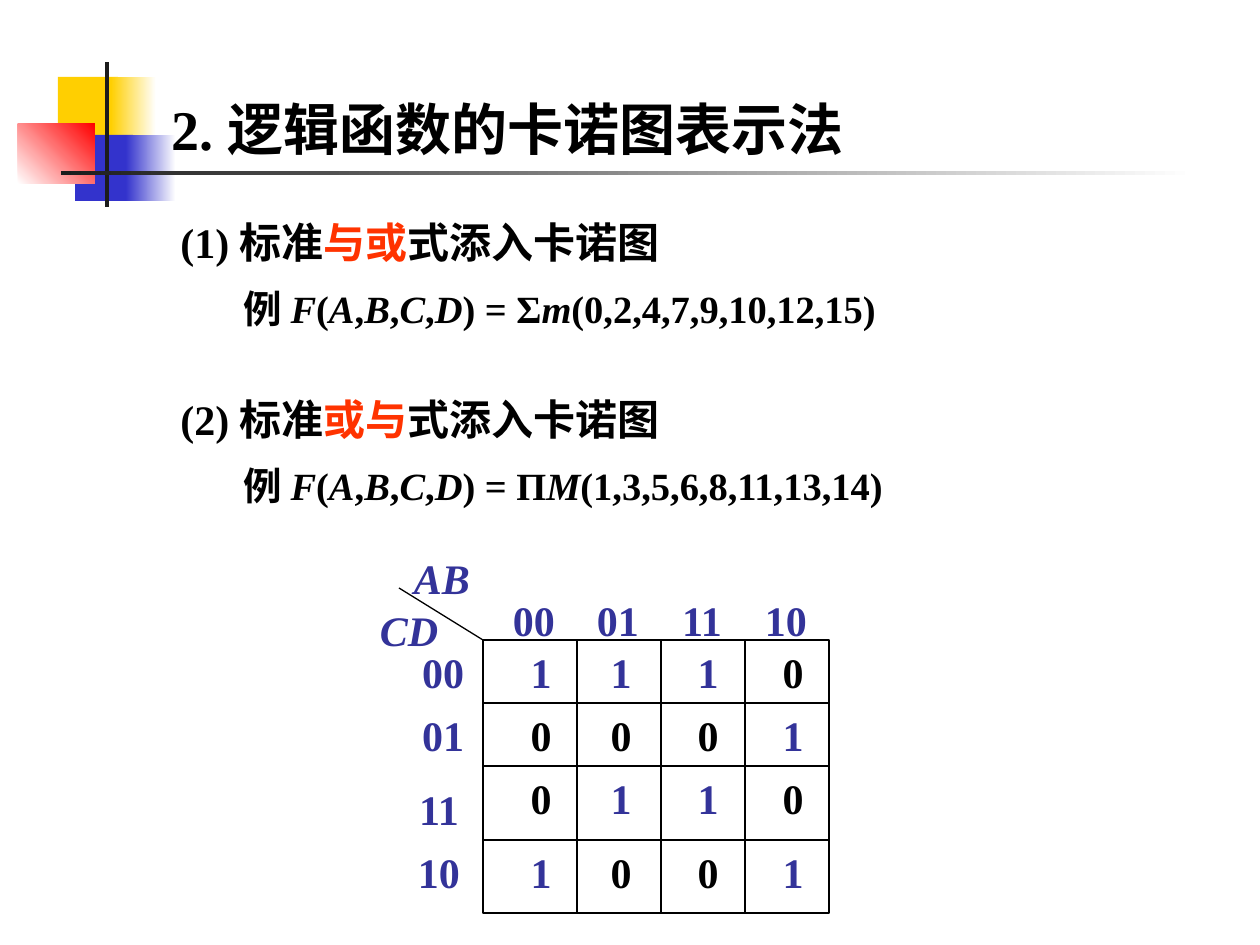
import itertools

import pptx
import pptx.dml.color
import pptx.enum.shapes
import pptx.enum.text
import pptx.oxml
import pptx.oxml.ns
import pptx.util

PX = 914400 / 126
FONT = "Times New Roman"
BLACK, BLUE, RED, INDIGO = "000000", "333399", "FF3300", "3333CC"
YELLOW, CHARCOAL, WHITE, PURE_RED = "FFCF01", "1C1C1C", "FFFFFF", "FF0000"
ALIGN = pptx.enum.text.PP_ALIGN
ANCHOR = pptx.enum.text.MSO_ANCHOR
FRAME = {"word_wrap": True, "vertical_anchor": ANCHOR.TOP}
LABEL_FRAME = {"word_wrap": False, "vertical_anchor": ANCHOR.MIDDLE}


def px(value):
    """Turn px into EMU."""
    return pptx.util.Emu(round(value * PX))


def color(hex_value):
    """Turn a hex string into a colour."""
    return pptx.dml.color.RGBColor.from_string(hex_value)


def set_all(target, values):
    """Set every attribute named in a dict."""
    for name, value in values.items():
        setattr(target, name, value)


def add_rect(slide, box):
    """Add a rectangle with neither shadow, fill nor line."""
    rect = slide.shapes.add_shape(pptx.enum.shapes.MSO_SHAPE.RECTANGLE, *map(px, box))
    rect.shadow.inherit = False
    rect.fill.background()
    rect.line.fill.background()
    return rect


def add_block(slide, box, colors, angle=0):
    """Add a rectangle in one colour, or in a gradient of two."""
    fill = add_rect(slide, box).fill
    if len(colors) == 1:
        fill.solid()
        fill.fore_color.rgb = color(colors[0])
        return
    fill.gradient()
    fill.gradient_angle = angle
    for stop, shade in zip(fill.gradient_stops, colors):
        stop.color.rgb = color(shade)


def add_line(slide, start, end):
    """Add a thin black line between two points."""
    line = slide.shapes.add_connector(
        pptx.enum.shapes.MSO_CONNECTOR.STRAIGHT, *map(px, (*start, *end)))
    line.line.color.rgb = color(BLACK)
    line.line.width = pptx.util.Pt(0.75)
    properties = line._element.spPr
    properties.append(pptx.oxml.parse_xml(
        f"<a:effectLst {pptx.oxml.ns.nsdecls('a')}/>"))


def add_frame(slide, box, values):
    """Add a text box and return its text frame."""
    frame = slide.shapes.add_textbox(*map(px, box)).text_frame
    set_all(frame, values)
    return frame


def add_run(paragraph, text, size, shade=BLACK, italic=False):
    """Add a bold run."""
    run = paragraph.add_run()
    run.text = text
    set_all(run.font, {"name": FONT, "size": pptx.util.Pt(size),
                       "bold": True, "italic": italic})
    run.font.color.rgb = color(shade)
    run._r.get_or_add_rPr().set("lang", "zh-CN")


def set_indent(paragraph, left, hanging):
    """Give a paragraph a hanging indent."""
    properties = paragraph._p.get_or_add_pPr()
    properties.set("marL", str(px(left)))
    properties.set("indent", str(-px(hanging)))


def is_variable(letter):
    """Tell whether a formula character is a variable name."""
    return letter.isascii() and letter.isalpha()


def add_ornament(slide, box):
    """Place the coloured squares and the crossing rules."""
    left, top = box[:2]
    blocks = [
        ((40, 15, 60, 66), [YELLOW], 0),
        ((93, 15, 45, 66), [YELLOW, WHITE], 0),
        ((57, 73, 58, 66), [INDIGO], 0),
        ((108, 73, 50, 66), [INDIGO, WHITE], 0),
        ((0, 62, 77, 60), [WHITE, PURE_RED], 45),
        ((87, 0, 4, 145), [CHARCOAL], 0),
        ((43, 109, 1134, 4), [CHARCOAL, WHITE], 0),
    ]
    for (x, y, width, height), colors, angle in blocks:
        add_block(slide, (left + x, top + y, width, height), colors, angle)


def add_title(slide, box):
    """Place the slide title."""
    frame = add_frame(slide, box, FRAME | {"vertical_anchor": ANCHOR.BOTTOM})
    add_run(frame.paragraphs[0], "2. 逻辑函数的卡诺图表示法", 32)


def add_topic(slide, box, number, form, formula, heading_spacing):
    """Place a numbered heading and its example formula."""
    frame = add_frame(slide, box, FRAME)
    heading, example = frame.paragraphs[0], frame.add_paragraph()
    for paragraph, indent, spacing in ((heading, (48, 48), heading_spacing),
                                       (example, (102, 39), 1.2)):
        set_indent(paragraph, *indent)
        set_all(paragraph, {"line_spacing": spacing, "space_after": pptx.util.Pt(5)})
    example.level = 1
    for text, shade in ((f"{number} 标准", BLACK), (form, RED), ("式添入卡诺图", BLACK)):
        add_run(heading, text, 24, shade)
    for italic, letters in itertools.groupby(f"例 {formula}", is_variable):
        add_run(example, "".join(letters), 22, italic=italic)


def add_label(slide, center, top, text, shade=BLUE, italic=False):
    """Place one map label centred on a vertical axis."""
    width, height = 26 + 29 * len(text), 63
    frame = add_frame(slide, (center - width / 2, top, width, height), LABEL_FRAME)
    frame.paragraphs[0].alignment = ALIGN.CENTER
    add_run(frame.paragraphs[0], text, 24, shade, italic)


def add_karnaugh_map(slide, box, rows):
    """Place the Karnaugh map with its codes, variables and values."""
    left, top, width, height = box
    right, bottom = left + width, top + height
    codes = ["00", "01", "11", "10"]
    row_tops = [top + offset for offset in (0, 63, 126, 200)]
    outline = add_rect(slide, box).line
    outline.color.rgb = color(BLACK)
    outline.width = pptx.util.Pt(0.75)
    for y in row_tops[1:]:
        add_line(slide, (left, y), (right, y))
    for column in range(3):
        x = left + 94 + 84 * column
        add_line(slide, (x, top), (x, bottom))
    add_line(slide, (left - 84, top - 52), (left, top))
    for column, code in enumerate(codes):
        add_label(slide, left + 51 + 84 * column, top - 52, code)
    for code, x, y in zip(codes, (-40, -40, -44, -44), (0, 63, 137, 200)):
        add_label(slide, left + x, top + y, code)
    for values, y in zip(rows, row_tops):
        for value, x in zip(values, (58, 138, 225, 310)):
            add_label(slide, left + x, y, value, BLUE if value == "1" else BLACK)
    add_label(slide, left - 74, top - 42, "CD", italic=True)
    add_label(slide, left - 41, top - 94, "AB", italic=True)


def main():
    """Build and save the slide."""
    deck = pptx.Presentation()
    set_all(deck, {"slide_width": px(1260), "slide_height": px(945)})
    slide = deck.slides.add_slide(deck.slide_layouts[6])
    add_ornament(slide, (18, 62, 1177, 145))
    add_title(slide, (159, 10, 1074, 158))
    add_topic(slide, (168, 200, 746, 146), "(1)", "与或",
              "F(A,B,C,D) = Σm(0,2,4,7,9,10,12,15)", 1.2)
    add_karnaugh_map(slide, (483, 640, 346, 273), ["1110", "0001", "0110", "1001"])
    add_topic(slide, (168, 357, 756, 158), "(2)", "或与",
              "F(A,B,C,D) = ΠM(1,3,5,6,8,11,13,14)", 1.6)
    deck.save("out.pptx")


if __name__ == "__main__":
    main()
